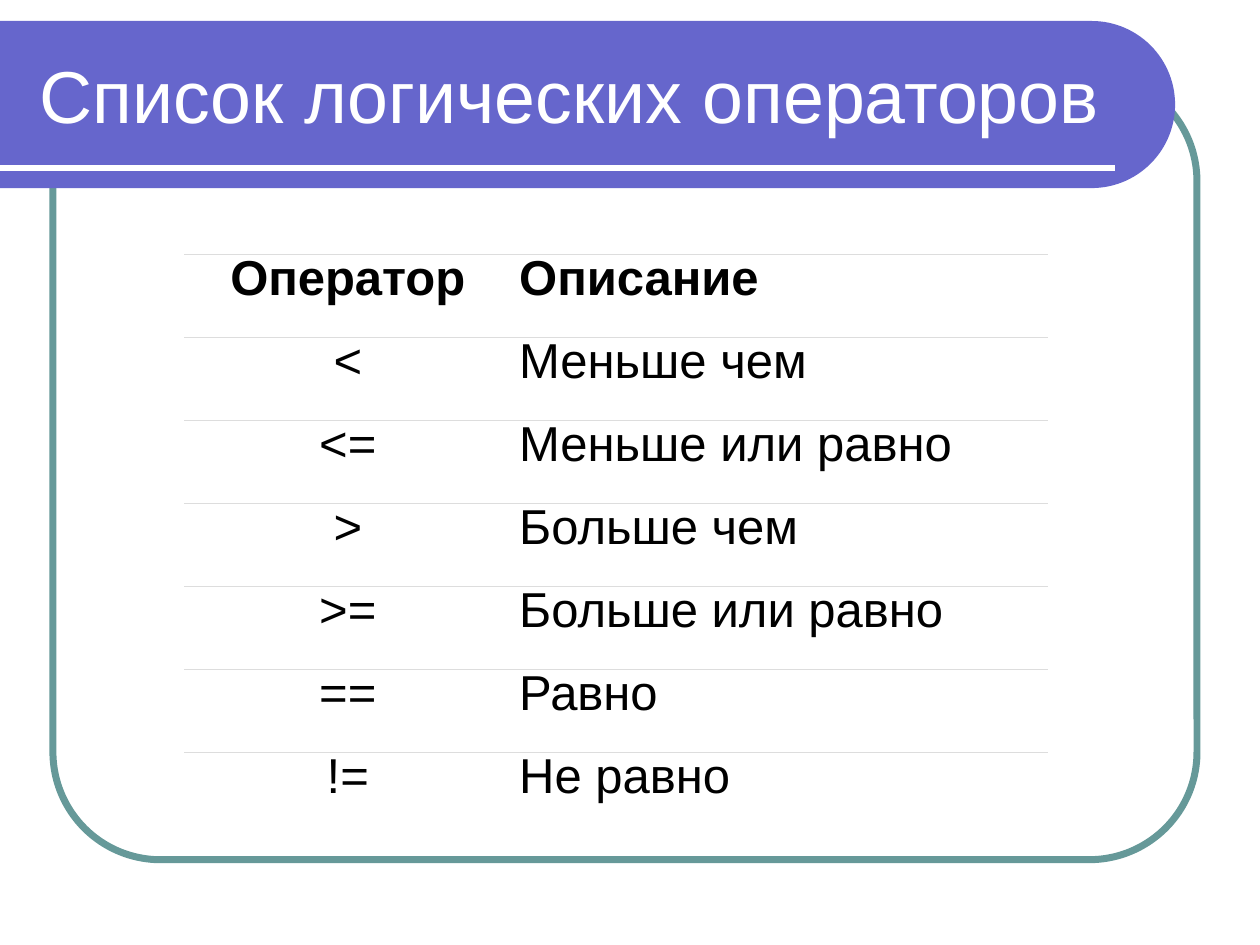
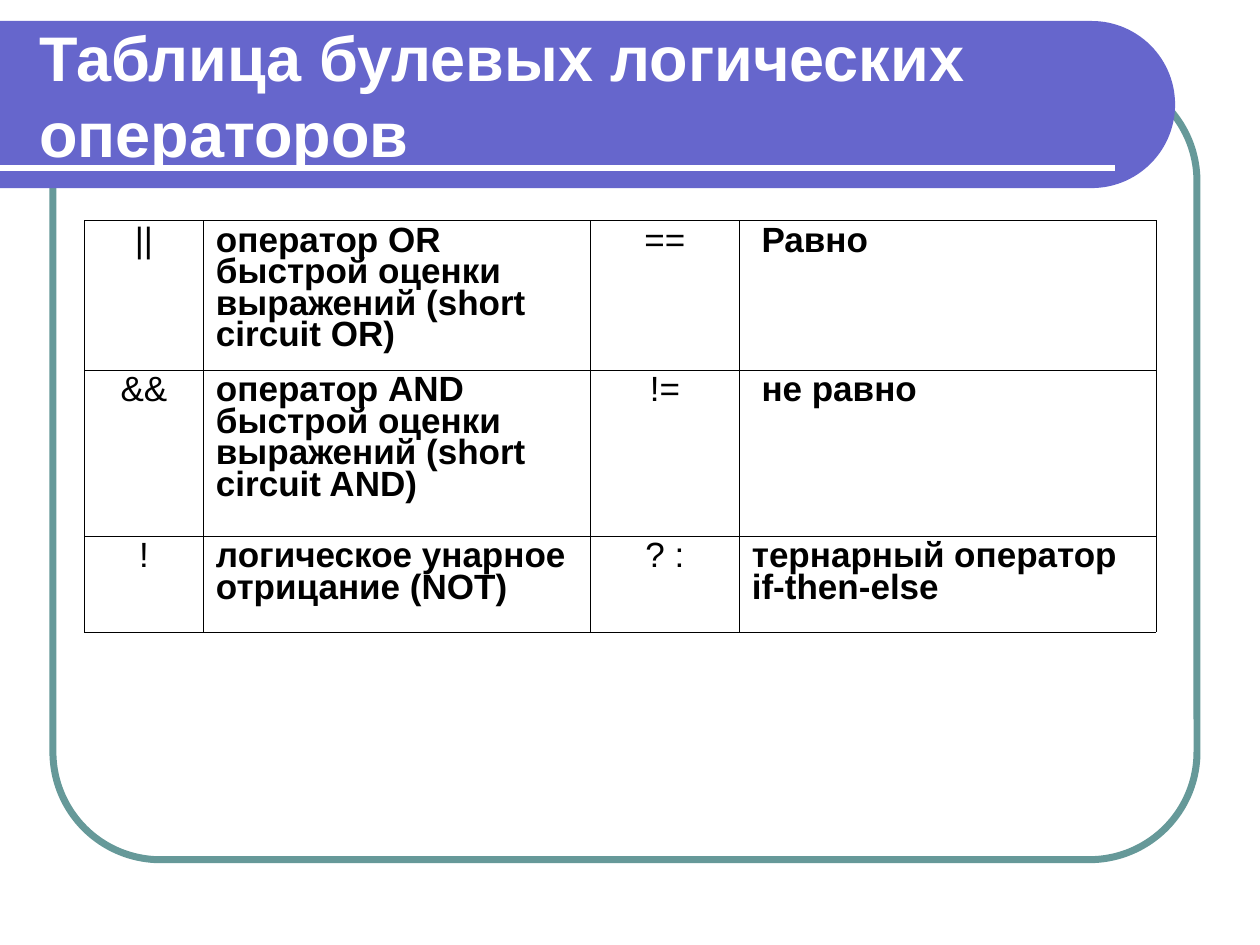
import math
from dataclasses import dataclass

import pptx
import pptx.dml.color
import pptx.enum.shapes
import pptx.enum.text
import pptx.oxml
import pptx.util
from lxml import etree
from pptx.oxml.ns import qn

Pt = pptx.util.Pt
ALIGN = pptx.enum.text.PP_ALIGN
ANCHOR = pptx.enum.text.MSO_ANCHOR
SHAPE = pptx.enum.shapes.MSO_SHAPE

FONT = "Arial"
WHITE, BLACK = "FFFFFF", "000000"
BLUE, TEAL, GREY = "6666CC", "669999", "DDDDDD"
HAIR = Pt(0.06)


@dataclass
class Grid:
    left: float
    top: float
    cols: list[float]
    rows: list[float]
    texts: list[list[str]]
    size: float
    inset: float
    edge: str
    boxed: bool
    bold_row: int | None = None
    bold_cols: tuple[int, ...] = ()
    nudged: tuple[tuple[int, int], ...] = ()


@dataclass
class Page:
    title: str
    size: float
    bold: bool
    grid: Grid


PAGES = [
    Page("Список логических операторов", 42, False, Grid(
        left=105.25, top=145.25, cols=[187, 306.5], rows=[47.43] * 7,
        texts=[
            ["Оператор", "Описание"],
            ["<", "Меньше чем"],
            ["<=", "Меньше или равно"],
            [">", "Больше чем"],
            [">=", "Больше или равно"],
            ["==", "Равно"],
            ["!=", "Не равно"],
        ],
        size=28, inset=4.5, edge=GREY, boxed=False, bold_row=0)),
    Page("Таблица булевых логических операторов", 36, True, Grid(
        left=48.25, top=126, cols=[68, 221.25, 85, 238.25], rows=[85.5, 95, 54.75],
        texts=[
            ["||", "оператор OR быстрой оценки выражений (short circuit OR)", "==", "Равно"],
            ["&&", "оператор AND быстрой оценки выражений (short circuit AND)", "!=", "не равно"],
            ["!", "логическое унарное отрицание (NOT)", "? :", "тернарный оператор if-then-else"],
        ],
        size=20, inset=7.2, edge=BLACK, boxed=True,
        bold_cols=(1, 3), nudged=((0, 3), (1, 3)))),
]


def rgb(code: str) -> pptx.dml.color.RGBColor:
    return pptx.dml.color.RGBColor.from_string(code)


def apply(target, values: dict) -> None:
    for name, value in values.items():
        setattr(target, name, value)


def style(para, size: float, color: str, bold: bool) -> None:
    apply(para.font, {"name": FONT, "size": Pt(size), "bold": bold})
    para.font.color.rgb = rgb(color)


def add_frame(shapes):
    frame = shapes.add_shape(SHAPE.ROUNDED_RECTANGLE, Pt(30.25), Pt(42), Pt(653.75), Pt(449.25))
    frame.adjustments[0] = 0.137
    frame.shadow.inherit = False
    frame.fill.background()
    frame.line.color.rgb = rgb(TEAL)
    frame.line.width = Pt(4)
    return frame


def add_band(shapes):
    """Draw the title band: flat on the left, a half circle on the right."""
    top, radius, mid = 12, 47.75, 623.75
    angles = [math.radians(deg) for deg in range(-90, 91, 3)]
    arc = [(Pt(mid + radius * math.cos(a)), Pt(top + radius + radius * math.sin(a)))
           for a in angles]
    pen = shapes.build_freeform(0, Pt(top))
    pen.add_line_segments([*arc, (0, Pt(top + 2 * radius))], close=True)
    band = pen.convert_to_shape()
    band.shadow.inherit = False
    band.fill.solid()
    band.fill.fore_color.rgb = rgb(BLUE)
    band.line.fill.background()
    return band


def add_rule(shapes):
    rule = shapes.add_connector(
        pptx.enum.shapes.MSO_CONNECTOR.STRAIGHT, 0, Pt(96), Pt(637), Pt(96))
    rule.line.color.rgb = rgb(WHITE)
    rule.line.width = Pt(3)
    etree.SubElement(rule.element.spPr, qn("a:effectLst"))
    return rule


def dress(layout, shapes) -> None:
    """Draw the shared decor and move it to the layout."""
    for number, draw in enumerate((add_frame, add_band, add_rule), start=20):
        part = draw(shapes).element
        part.xpath(".//p:cNvPr")[0].set("id", str(number))
        layout.shapes.element.append(part)


def set_edges(cell, color: str, shown: set[str]) -> None:
    props = cell._tc.get_or_add_tcPr()
    for place, side in enumerate("LRTB"):
        line = etree.Element(qn(f"a:ln{side}"), w=str(HAIR))
        if side in shown:
            fill = etree.SubElement(line, qn("a:solidFill"))
            etree.SubElement(fill, qn("a:srgbClr"), val=color)
        else:
            etree.SubElement(line, qn("a:noFill"))
        props.insert(place, line)


def add_grid(shapes, grid: Grid) -> None:
    frame = shapes.add_table(len(grid.rows), len(grid.cols), Pt(grid.left), Pt(grid.top),
                             Pt(sum(grid.cols)), Pt(sum(grid.rows)))
    table = frame.table
    apply(table, {"first_row": False, "horz_banding": False})
    for col, width in zip(table.columns, grid.cols):
        col.width = Pt(width)
    for row, height in zip(table.rows, grid.rows):
        row.height = Pt(height)
    for r, words in enumerate(grid.texts):
        for c, text in enumerate(words):
            cell = table.cell(r, c)
            shift = 5.5 if (r, c) in grid.nudged else 0
            apply(cell, {
                "text": text, "vertical_anchor": ANCHOR.TOP,
                "margin_left": Pt(grid.inset + shift), "margin_right": Pt(grid.inset),
                "margin_top": Pt(3.6), "margin_bottom": Pt(3.6),
            })
            cell.fill.solid()
            cell.fill.fore_color.rgb = rgb(WHITE)
            last = r == len(grid.rows) - 1
            set_edges(cell, grid.edge, set("LRTB" if grid.boxed else "T" if last else "TB"))
            para = cell.text_frame.paragraphs[0]
            apply(para, {"alignment": ALIGN.LEFT if c % 2 else ALIGN.CENTER,
                         "line_spacing": 0.81})
            style(para, grid.size, BLACK, r == grid.bold_row or c in grid.bold_cols)


def set_title(title, page: Page) -> None:
    apply(title, {"left": Pt(15.25), "top": Pt(18), "width": Pt(631.5), "height": Pt(72)})
    frame = title.text_frame
    apply(frame, {"text": page.title, "word_wrap": True, "vertical_anchor": ANCHOR.MIDDLE,
                  "auto_size": pptx.enum.text.MSO_AUTO_SIZE.NONE})
    para = frame.paragraphs[0]
    para.alignment = ALIGN.LEFT
    style(para, page.size, WHITE, page.bold)


def main() -> None:
    deck = pptx.Presentation()
    apply(deck, {"slide_width": Pt(720), "slide_height": Pt(540)})
    layout = deck.slide_layouts.get_by_name("Title Only")
    for index, page in enumerate(PAGES):
        slide = deck.slides.add_slide(layout)
        if index == 0:
            dress(layout, slide.shapes)
        set_title(slide.shapes.title, page)
        add_grid(slide.shapes, page.grid)
    deck.save("out.pptx")


if __name__ == "__main__":
    main()
